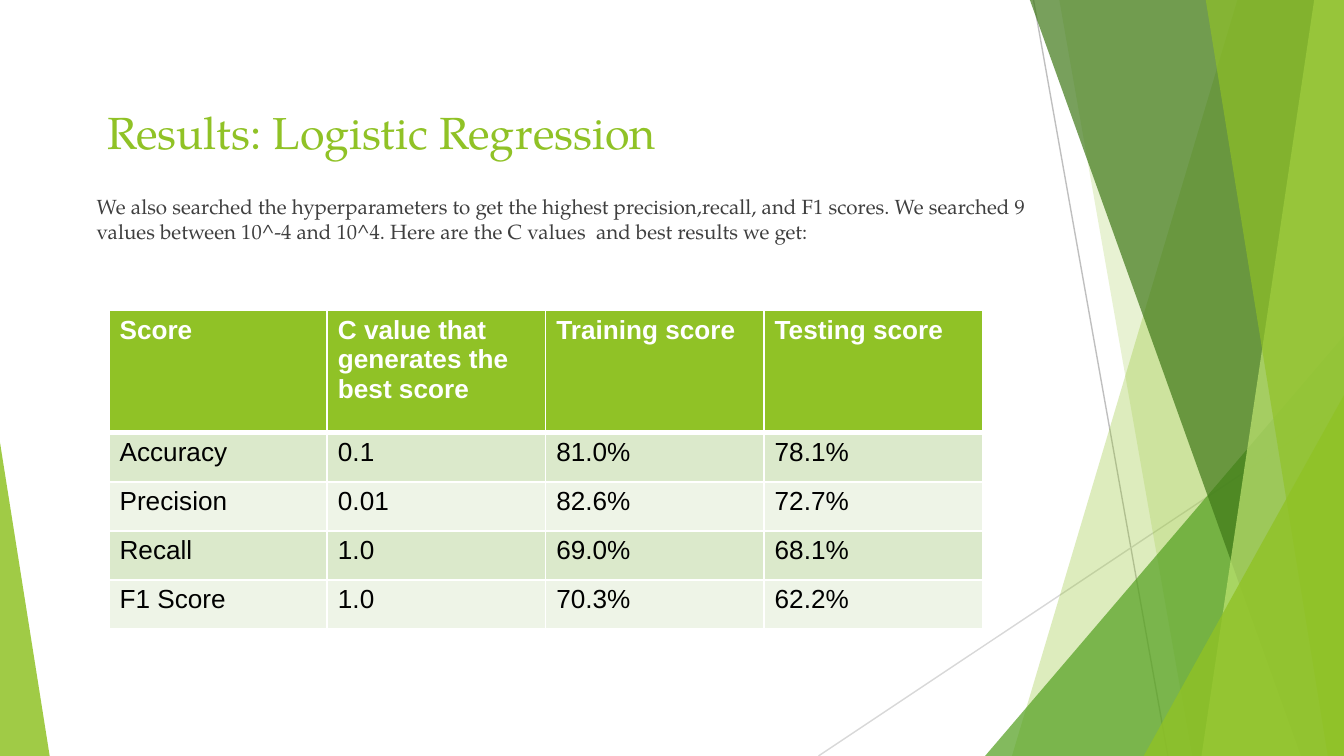
"""Build the slide with the logistic regression results."""
from dataclasses import dataclass

from lxml.etree import SubElement as Sub
from pptx import Presentation
from pptx.dml.color import RGBColor as RGB
from pptx.enum.shapes import MSO_CONNECTOR as Link, MSO_SHAPE as Form
from pptx.enum.text import MSO_ANCHOR as Anchor
from pptx.oxml.ns import qn
from pptx.util import Inches, Pt


@dataclass(frozen=True)
class Theme:
    lime: str = "90C226"
    pale: str = "BFE471"
    green: str = "54A021"
    dark: str = "3F7818"
    gray: str = "BFBFBF"
    silver: str = "D8D8D8"
    ink: str = "3F3F3F"
    black: str = "000000"
    white: str = "FFFFFF"
    bands: tuple = ("DBE9CB", "EEF4E7")
    serif: str = "TeX Gyre Pagella"
    sans: str = "Arial"
    title: int = 24
    body: int = 11
    cell: int = 14


THEME = Theme()
WIDTH = 10
HEIGHT = WIDTH * 9 / 16
RULES = [
    (7.69, 0, 8.69, HEIGHT, THEME.gray),
    (WIDTH, 3.02, 6.09, HEIGHT, THEME.silver),
]
BACK = [(9.21, 7.53, THEME.lime, 30), (7.88, 8.87, THEME.lime, 20)]
FRONT = [
    (7.66, 9.68, THEME.dark, 70),
    (9.78, 8.94, THEME.pale, 70),
    (8.97, 9.88, THEME.lime, 65),
]
ROWS = [
    ("Score", "C value that generates the best score", "Training score", "Testing score"),
    ("Accuracy", "0.1", "81.0%", "78.1%"),
    ("Precision", "0.01", "82.6%", "72.7%"),
    ("Recall", "1.0", "69.0%", "68.1%"),
    ("F1 Score", "1.0", "70.3%", "62.2%"),
]
NOTE = (
    "We also searched the hyperparameters to get the highest precision,recall, "
    "and F1 scores. We searched 9 values between 10^-4 and 10^4. "
    "Here are the C values  and best results we get:"
)


def tint(shape, color, alpha):
    shape.shadow.inherit = False
    shape.line.fill.background()
    shape.fill.solid()
    shape.fill.fore_color.rgb = RGB.from_string(color)
    fill = shape.element.spPr.find(qn("a:solidFill"))
    Sub(fill[0], qn("a:alpha"), val=str(alpha * 1000))


def add_rule(slide, left, top, right, bottom, color):
    ends = [Inches(n) for n in (left, top, right, bottom)]
    rule = slide.shapes.add_connector(Link.STRAIGHT, *ends)
    rule.line.color.rgb = RGB.from_string(color)
    rule.line.width = Pt(0.75)
    Sub(rule.element.spPr, qn("a:effectLst"))


def add_facet(slide, upper, lower, color, alpha):
    points = [(upper, -0.01), (WIDTH, -0.01), (WIDTH, HEIGHT), (lower, HEIGHT)]
    spots = [(Inches(x), Inches(y)) for x, y in points]
    path = slide.shapes.build_freeform(*spots[0])
    path.add_line_segments(spots[1:])
    tint(path.convert_to_shape(), color, alpha)


def add_wedge(slide, left, top, width, peak, color, alpha):
    box = [Inches(n) for n in (left, top, width, HEIGHT - top)]
    wedge = slide.shapes.add_shape(Form.ISOSCELES_TRIANGLE, *box)
    wedge.adjustments[0] = peak
    tint(wedge, color, alpha)


def style(para, size, face, color, bold=False):
    for run in para.runs:
        run.font.size = Pt(size)
        run.font.name = face
        run.font.bold = bold
        run.font.color.rgb = RGB.from_string(color)


def add_text(slide, box, text, size, color, inset):
    frame = slide.shapes.add_textbox(*[Inches(n) for n in box]).text_frame
    frame.word_wrap = True
    frame.vertical_anchor = Anchor.TOP
    frame.margin_left = frame.margin_right = Inches(0.07)
    frame.margin_top, frame.margin_bottom = Inches(inset), Inches(0.04)
    frame.text = text
    style(frame.paragraphs[0], size, THEME.serif, color)


def add_edges(cell, row):
    props = cell._tc.get_or_add_tcPr()
    widths = {"L": 1, "R": 1, "T": 3 if row == 1 else 1, "B": 1 if row else 3}
    for side, width in widths.items():
        edge = Sub(props, qn(f"a:ln{side}"), w=str(Pt(width)))
        Sub(Sub(edge, qn("a:solidFill")), qn("a:srgbClr"), val=THEME.white)


def fill_cell(cell, text, row):
    head = row == 0
    cell.margin_left = cell.margin_right = Inches(0.08)
    cell.margin_top = cell.margin_bottom = Inches(0.04)
    add_edges(cell, row)
    cell.fill.solid()
    back = THEME.lime if head else THEME.bands[(row - 1) % 2]
    cell.fill.fore_color.rgb = RGB.from_string(back)
    cell.text_frame.text = text
    color = THEME.white if head else THEME.black
    style(cell.text_frame.paragraphs[0], THEME.cell, THEME.sans, color, head)


def add_scores(slide, left, top, wide, high, head):
    count = len(ROWS[0])
    box = [Inches(n) for n in (left, top, wide, high)]
    table = slide.shapes.add_table(len(ROWS), count, *box).table
    tall = (high - head) / (len(ROWS) - 1)
    for col in table.columns:
        col.width = Inches(wide / count)
    for row, texts in enumerate(ROWS):
        table.rows[row].height = Inches(tall if row else head)
        for col, text in enumerate(texts):
            fill_cell(table.cell(row, col), text, row)


def main():
    deck = Presentation()
    deck.slide_width, deck.slide_height = Inches(WIDTH), Inches(HEIGHT)
    slide = deck.slides.add_slide(deck.slide_layouts[6])
    for rule in RULES:
        add_rule(slide, *rule)
    for facet in BACK:
        add_facet(slide, *facet)
    add_wedge(slide, 7.33, 2.5, 2.67, 1, THEME.green, 72)
    for facet in FRONT:
        add_facet(slide, *facet)
    add_wedge(slide, 8.51, 2.94, 1.49, 1, THEME.lime, 80)
    add_wedge(slide, 0, 3.29, 0.37, 0, THEME.lime, 85)
    add_text(slide, (0.73, 0.75, 6.96, 0.53), "Results: Logistic Regression",
             THEME.title, THEME.lime, 0.03)
    add_scores(slide, 0.81, 2.31, 6.5, 2.37, 0.91)
    add_text(slide, (0.65, 1.11, 7.13, 1.51), NOTE, THEME.body, THEME.ink, 0.34)
    deck.save("out.pptx")


if __name__ == "__main__":
    main()
